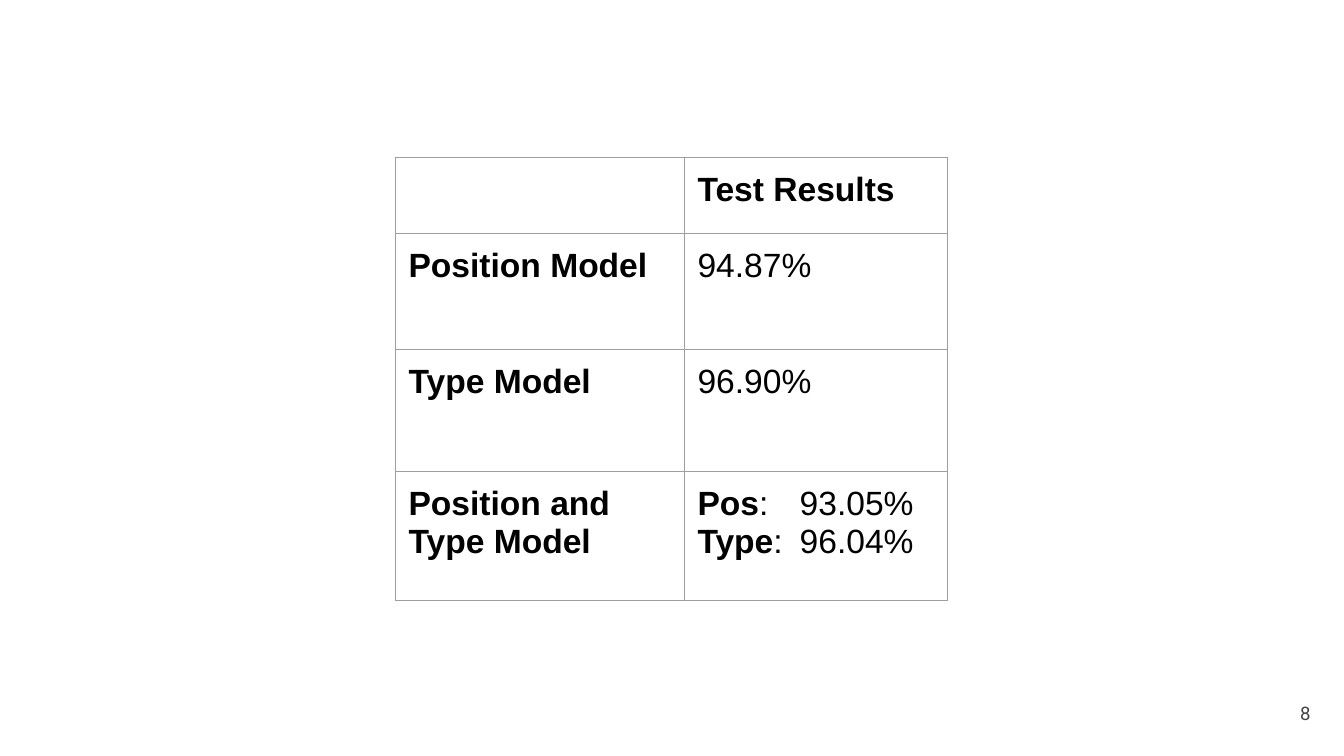
from dataclasses import dataclass

from lxml.etree import SubElement
from pptx import Presentation
from pptx.dml.color import RGBColor
from pptx.enum.text import MSO_ANCHOR, PP_ALIGN
from pptx.oxml.ns import qn
from pptx.util import Inches, Pt


@dataclass(frozen=True)
class Theme:
    ink: str = "000000"
    muted: str = "434343"
    rule: str = "9E9E9E"
    rule_width: float = 0.75
    body: int = 18
    small: int = 10
    face: str = "Arial"
    number_face: str = "Roboto"
    pad: float = 0.1


@dataclass(frozen=True)
class Span:
    text: str
    bold: bool = False


@dataclass(frozen=True)
class Row:
    """One table row; each cell is a list of lines, each line a list of spans."""
    height: float
    label: list
    result: list


THEME = Theme()
WIDTHS = (2.15, 1.96)
VALUE_TAB = 0.76
ROWS = (
    Row(0.57, [], [[Span("Test Results", True)]]),
    Row(0.86, [[Span("Position Model", True)]], [[Span("94.87%")]]),
    Row(0.91, [[Span("Type Model", True)]], [[Span("96.90%")]]),
    Row(0.96, [[Span("Position and Type Model", True)]],
        [[Span("Pos", True), Span(":\t93.05%")],
         [Span("Type", True), Span(":\t96.04%")]]),
)


def style(run, size: int, face: str, color: str, bold: bool = False) -> None:
    font = run.font
    for name, value in {"size": Pt(size), "name": face, "bold": bold}.items():
        setattr(font, name, value)
    font.color.rgb = RGBColor.from_string(color)


def pad(box) -> None:
    for side in ("left", "right", "top", "bottom"):
        setattr(box, f"margin_{side}", Inches(THEME.pad))


def add_tab(para, place: float) -> None:
    stops = SubElement(para._p.get_or_add_pPr(), qn("a:tabLst"))
    SubElement(stops, qn("a:tab"), pos=str(Inches(place)), algn="l")


def add_rules(cell) -> None:
    """Draw all four borders; call before the fill, which must follow them."""
    props = cell._tc.get_or_add_tcPr()
    for side in "LRTB":
        line = SubElement(props, qn(f"a:ln{side}"), w=str(Pt(THEME.rule_width)))
        fill = SubElement(line, qn("a:solidFill"))
        SubElement(fill, qn("a:srgbClr"), val=THEME.rule)


def fill_cell(cell, lines: list) -> None:
    pad(cell)
    add_rules(cell)
    cell.fill.background()
    frame = cell.text_frame
    for i, line in enumerate(lines):
        para = frame.add_paragraph() if i else frame.paragraphs[0]
        if any("\t" in span.text for span in line):
            add_tab(para, VALUE_TAB)
        for span in line:
            run = para.add_run()
            run.text = span.text
            style(run, THEME.body, THEME.face, THEME.ink, span.bold)


def add_results(slide, left: float, top: float) -> None:
    height = sum(row.height for row in ROWS)
    table = slide.shapes.add_table(
        len(ROWS), len(WIDTHS), Inches(left), Inches(top),
        Inches(sum(WIDTHS)), Inches(height)).table
    table.first_row = table.horz_banding = False
    for column, width in zip(table.columns, WIDTHS):
        column.width = Inches(width)
    for i, row in enumerate(ROWS):
        table.rows[i].height = Inches(row.height)
        for j, lines in enumerate((row.label, row.result)):
            fill_cell(table.cell(i, j), lines)


def add_number(slide, text: str) -> None:
    box = slide.shapes.add_textbox(
        Inches(9.25), Inches(5.09), Inches(0.6), Inches(0.43))
    frame = box.text_frame
    frame.word_wrap = True
    frame.vertical_anchor = MSO_ANCHOR.MIDDLE
    pad(frame)
    para = frame.paragraphs[0]
    para.alignment = PP_ALIGN.RIGHT
    run = para.add_run()
    run.text = text
    style(run, THEME.small, THEME.number_face, THEME.muted)


def main() -> None:
    deck = Presentation()
    deck.slide_width = Inches(10)
    deck.slide_height = deck.slide_width * 9 // 16
    slide = deck.slides.add_slide(deck.slide_layouts[6])
    add_results(slide, 2.94, 1.17)
    add_number(slide, "8")
    deck.save("out.pptx")


if __name__ == "__main__":
    main()
